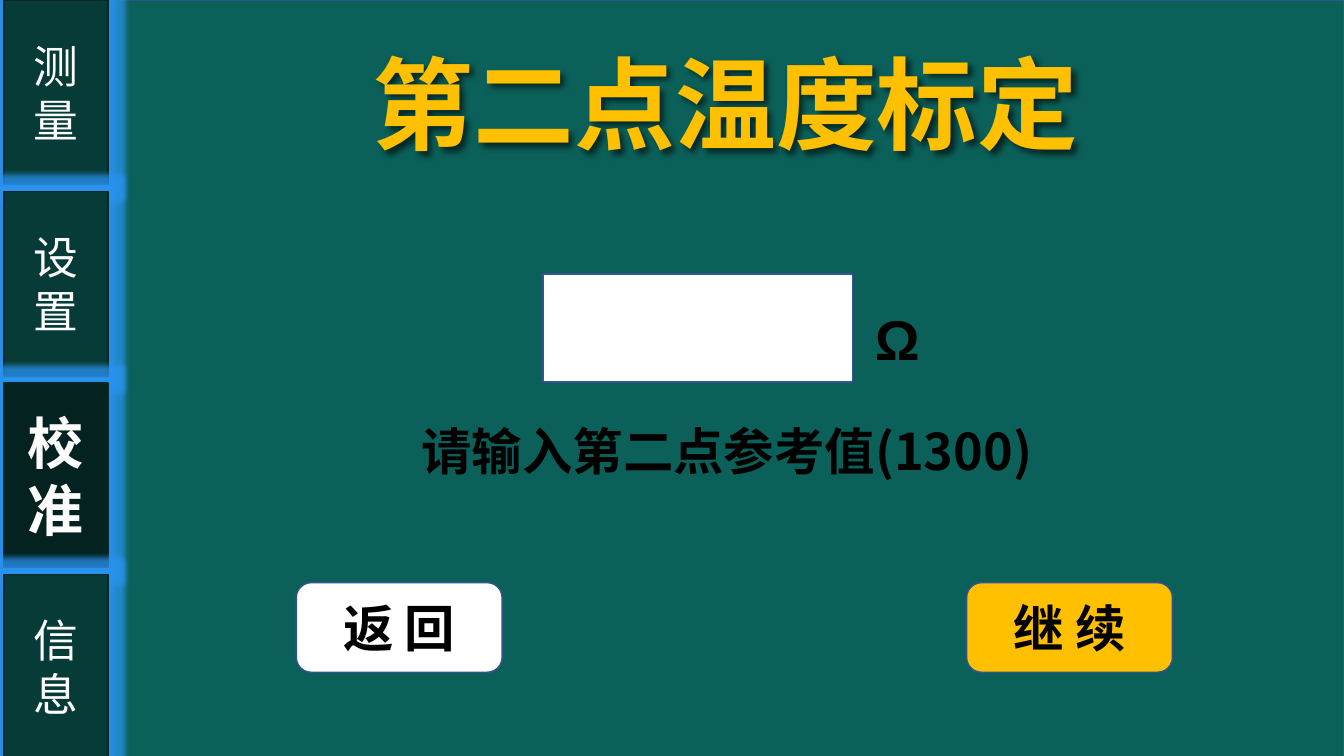
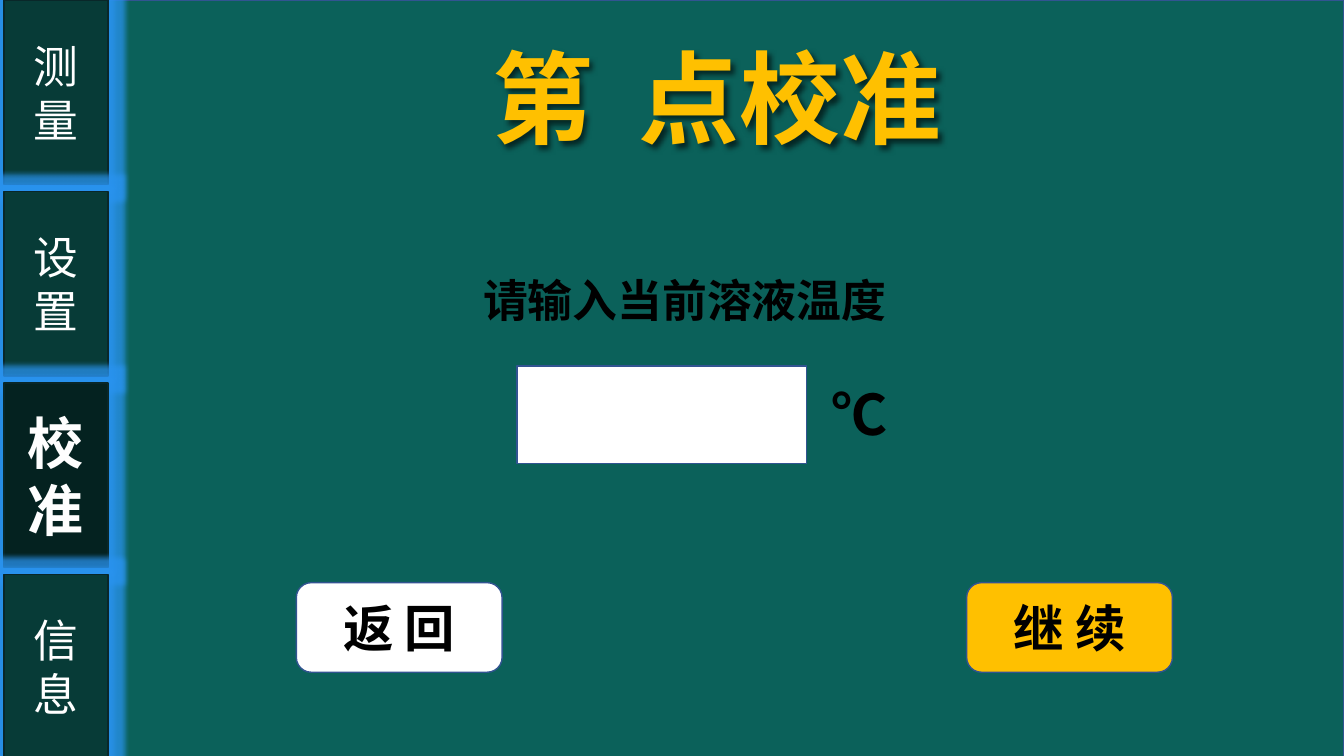
from lxml.etree import SubElement
from pptx import Presentation
from pptx.dml.color import RGBColor
from pptx.enum.shapes import MSO_SHAPE as Preset
from pptx.enum.text import MSO_ANCHOR as Anchor, MSO_AUTO_SIZE as AutoSize, PP_ALIGN as Align
from pptx.oxml import parse_xml
from pptx.oxml.ns import nsdecls, qn
from pptx.util import Pt

TEAL = RGBColor(0x0B, 0x61, 0x5A)
TAB = RGBColor(0x07, 0x3B, 0x37)
ACTIVE_TAB = RGBColor(0x04, 0x22, 0x20)
TAB_EDGE = RGBColor(0x09, 0x27, 0x29)
GLOW = RGBColor(0x2A, 0x94, 0xF0)
EDGE = RGBColor(0x32, 0x54, 0x91)
OUTLINE = RGBColor(0x44, 0x72, 0xC4)
AMBER = RGBColor(0xFF, 0xC0, 0x00)
WHITE = RGBColor(0xFF, 0xFF, 0xFF)
NEAR_WHITE = RGBColor(0xFE, 0xFE, 0xFE)
BLACK = RGBColor(0x00, 0x00, 0x00)

WIDTH, HEIGHT = 960, 540
SANS, TAB_FONT = "Noto Sans CJK SC", "Calibri"
TABS = [["测", "量"], ["设置"], ["校", "准"], ["信", "息"]]
ACTIVE = 2
TAB_PITCH = 136.8


def effect_list(effect, color, alpha, **attributes):
    settings = " ".join(f'{name}="{value}"' for name, value in attributes.items())
    return parse_xml(
        f'<a:effectLst {nsdecls("a")}><a:{effect} {settings}><a:srgbClr val="{color}">'
        f'<a:alpha val="{alpha * 1000}"/></a:srgbClr></a:{effect}></a:effectLst>')


def drop_shadow(color, blur, distance, alpha):
    return effect_list("outerShdw", color, alpha, blurRad=Pt(blur), dist=Pt(distance),
                       dir=2700000, algn="tl", rotWithShape=0)


class Screen:
    def __init__(self, presentation):
        self.presentation = presentation
        self.slide = None

    def start(self):
        self.slide = self.presentation.slides.add_slide(self.presentation.slide_layouts[6])
        self.box(0, 0, WIDTH, HEIGHT + 1.4, TEAL)
        for index, lines in enumerate(TABS):
            self.tab(index * TAB_PITCH, lines, index == ACTIVE)

    def box(self, left, top, width, height, fill, edge=EDGE, preset=Preset.RECTANGLE):
        shape = self.slide.shapes.add_shape(preset, Pt(left), Pt(top), Pt(width), Pt(height))
        shape.shadow.inherit = False
        shape.fill.solid()
        shape.fill.fore_color.rgb = fill
        shape.line.color.rgb = edge
        shape.line.width = Pt(1)
        return shape

    def set_text(self, shape, lines, size, color, font=SANS, bold=True, align=Align.CENTER):
        frame = shape.text_frame
        frame.word_wrap = True
        frame.text = "\n".join(lines)
        for paragraph in frame.paragraphs:
            paragraph.alignment = align
            for run in paragraph.runs:
                run.font.size = Pt(size)
                run.font.bold = bold
                run.font.name = font
                run.font.color.rgb = color
                if font == SANS:
                    latin = run.font._element.find(qn("a:latin"))
                    east_asian = SubElement(run.font._element, qn("a:ea"), typeface=font)
                    latin.addnext(east_asian)

    def tab(self, top, lines, active):
        shape = self.box(2.9, top, 74.2, 131.8, ACTIVE_TAB if active else TAB, TAB_EDGE)
        properties = shape._element.spPr
        properties.replace(properties.find(qn("a:effectLst")),
                           effect_list("glow", GLOW, 75, rad=Pt(8)))
        shape.text_frame.vertical_anchor = Anchor.MIDDLE
        if not active:
            self.set_text(shape, lines, 32, WHITE, TAB_FONT, False)
            return
        self.set_text(shape, lines, 40, NEAR_WHITE, TAB_FONT)
        for paragraph in shape.text_frame.paragraphs:
            run_properties = paragraph.runs[0].font._element
            run_properties.set("spc", "50")
            run_properties.insert(0, parse_xml(
                f'<a:ln {nsdecls("a")} w="{Pt(0.75)}"><a:solidFill>'
                f'<a:srgbClr val="{OUTLINE}"/></a:solidFill></a:ln>'))
            run_properties.find(qn("a:solidFill")).addnext(drop_shadow(OUTLINE, 0, 1.5, 60))

    def text(self, left, top, width, height, words, size, color=BLACK, **style):
        shape = self.slide.shapes.add_textbox(Pt(left), Pt(top), Pt(width), Pt(height))
        self.set_text(shape, [words], size, color, **style)
        shape.text_frame.auto_size = AutoSize.SHAPE_TO_FIT_TEXT
        return shape

    def title(self, left, top, width, words):
        shape = self.text(left, top, width, 94.5, words, 72, AMBER)
        shape._element.spPr.append(drop_shadow(BLACK, 4, 3, 60))

    def button(self, left, words, fill):
        shape = self.box(left, 416.2, 147, 64, fill, preset=Preset.ROUNDED_RECTANGLE)
        shape.text_frame.vertical_anchor = Anchor.MIDDLE
        self.set_text(shape, [words], 36, BLACK)

    def buttons(self):
        self.button(211.7, "返 回", WHITE)
        self.button(690.5, "继 续", AMBER)

    def unit(self, left, top, width, symbol, font=SANS):
        self.text(left, top, width, 55.7, symbol, 40, font=font, align=Align.LEFT)


def main():
    presentation = Presentation()
    presentation.slide_width, presentation.slide_height = Pt(WIDTH), Pt(HEIGHT)
    screen = Screen(presentation)

    screen.start()
    screen.title(226.8, 26.6, 583.2, "第二点温度标定")
    screen.buttons()
    screen.box(388, 195.8, 221, 77, WHITE)
    screen.text(247, 296.6, 544.3, 51, "请输入第二点参考值(1300)", 36)
    screen.unit(617.8, 213.8, 95.8, "Ω", "Arial")

    screen.start()
    screen.title(292.3, 22.3, 439.2, "第  点校准")
    screen.buttons()
    screen.text(205.9, 191.5, 566.6, 46, "请输入当前溶液温度", 32)
    screen.box(369.4, 261.4, 206.6, 69.8, WHITE)
    screen.unit(586.8, 267.8, 87.8, "℃")

    presentation.save("out.pptx")


if __name__ == "__main__":
    main()
